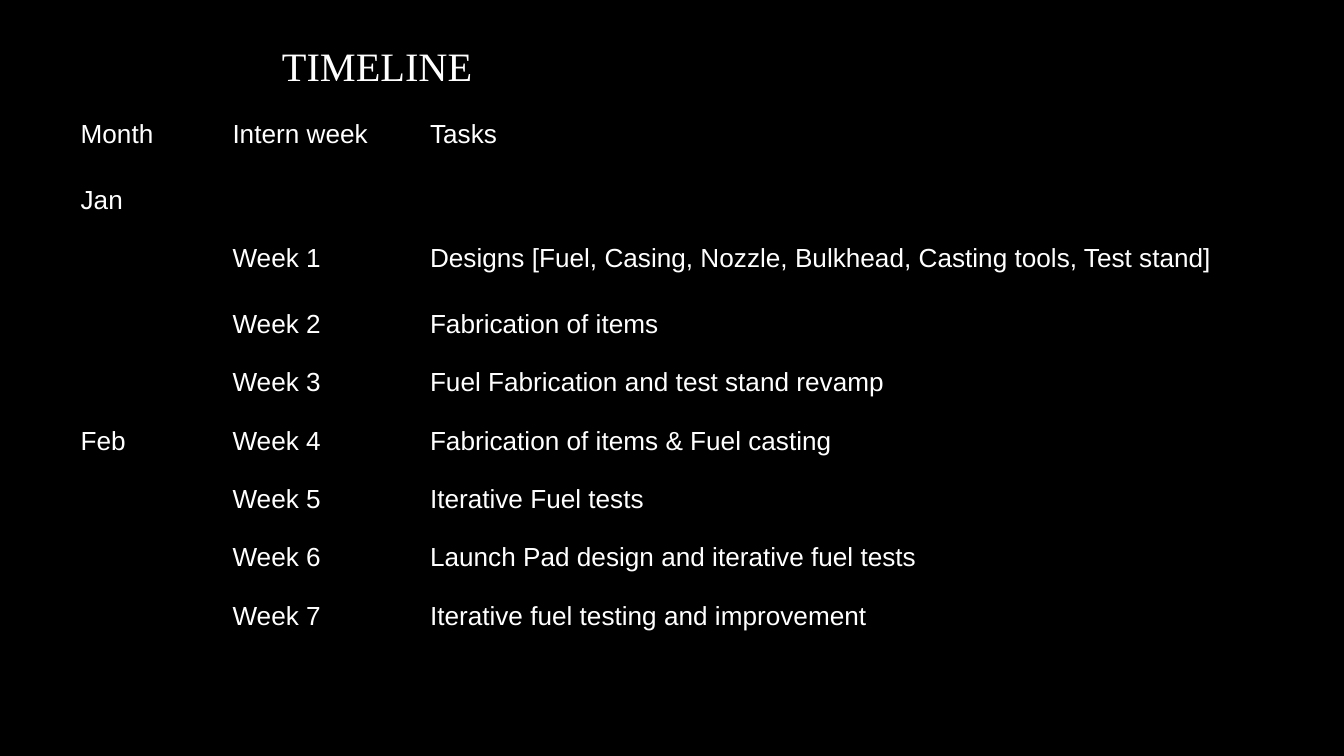
import pptx
import pptx.util
import pptx.dml.color
import pptx.enum.text
import pptx.oxml
import pptx.oxml.ns

# Content
TITLE = "TIMELINE"
HEAD = ("Month", "Intern week", "Tasks")
MONTHS = {1: "Jan", 5: "Feb"}  # first row of each month
SPAN = 4  # rows per month
FIRST = 2  # row of week 1
TASKS = [
    "Designs [Fuel, Casing, Nozzle, Bulkhead, Casting tools, Test stand]",
    "Fabrication of items",
    "Fuel Fabrication and test stand revamp",
    "Fabrication of items & Fuel casting",
    "Iterative Fuel tests",
    "Launch Pad design and iterative fuel tests",
    "Iterative fuel testing and improvement",
]

THEME = {
    "back": "000000", "text": "FFFFFF", "fade": "A6A6A6",
    "head": ("Times New Roman", 21.6), "body": ("Arial", 14),
}

# Grid, in inches
WIDE = 10
HIGH = WIDE * 9 / 16
LEFT, TOP, TALL = 0.5, 0.8, 4.02
COLS = (1.13, 1.47, 6.38)
BIG, BIGROWS = 0.49, (0, 2)  # two taller rows, the others share the rest
INSET, LEAD = 0.09, 6.8

inch = pptx.util.Inches
point = pptx.util.Pt


def rgb(name):
    return pptx.dml.color.RGBColor.from_string(THEME[name])


def add_run(para, text, style):
    run = para.add_run()
    run.text = text
    face, size = THEME[style]
    run.font.name, run.font.size = face, point(size)
    return run.font


def edge(cell):
    """Draw thin borders in the background colour on all four sides."""
    props = cell._tc.get_or_add_tcPr()
    for spot, side in enumerate(("lnL", "lnR", "lnT", "lnB")):
        line = pptx.oxml.parse_xml(
            f'<a:{side} {pptx.oxml.ns.nsdecls("a")} w="{point(1)}"><a:solidFill>'
            f'<a:srgbClr val="{THEME["back"]}"/></a:solidFill></a:{side}>')
        props.insert(spot, line)


def write(cell, text):
    para = cell.text_frame.paragraphs[0]
    para.space_before = point(LEAD)
    para._p.get_or_add_pPr().set("marL", str(inch(0.1)))
    add_run(para, text, "body").color.rgb = rgb("text")


deck = pptx.Presentation()
deck.slide_width, deck.slide_height = inch(WIDE), inch(HIGH)
slide = deck.slides.add_slide(deck.slide_layouts[6])
slide.background.fill.solid()
slide.background.fill.fore_color.rgb = rgb("back")

# Timetable
count = FIRST + len(TASKS)
small = (TALL - BIG * len(BIGROWS)) / (count - len(BIGROWS))
table = slide.shapes.add_table(
    count, len(COLS), inch(LEFT), inch(TOP), inch(sum(COLS)), inch(TALL)).table
table.first_row = table.horz_banding = False
for col, width in zip(table.columns, COLS):
    col.width = inch(width)
for num, row in enumerate(table.rows):
    row.height = inch(BIG if num in BIGROWS else small)
    for cell in row.cells:
        cell.fill.background()
        edge(cell)
        cell.margin_left = cell.margin_right = cell.margin_bottom = 0
        cell.margin_top = inch(INSET)

for col, text in enumerate(HEAD):
    write(table.cell(0, col), text)
for row, month in MONTHS.items():
    table.cell(row, 0).merge(table.cell(row + SPAN - 1, 0))
    write(table.cell(row, 0), month)
for week, task in enumerate(TASKS, 1):
    row = FIRST + week - 1
    write(table.cell(row, 1), f"Week {week}")
    write(table.cell(row, 2), task)

# Title with a soft vertical fade
box = slide.shapes.add_textbox(inch(2), inch(0.15), inch(1.73), inch(0.67))
frame = box.text_frame
frame.word_wrap = True
frame.vertical_anchor = pptx.enum.text.MSO_ANCHOR.MIDDLE
fill = add_run(frame.paragraphs[0], TITLE, "head").fill
fill.gradient()
fill.gradient_angle = 267
for stop, name in zip(fill.gradient_stops, ("text", "fade")):
    stop.color.rgb = rgb(name)

deck.save("out.pptx")
